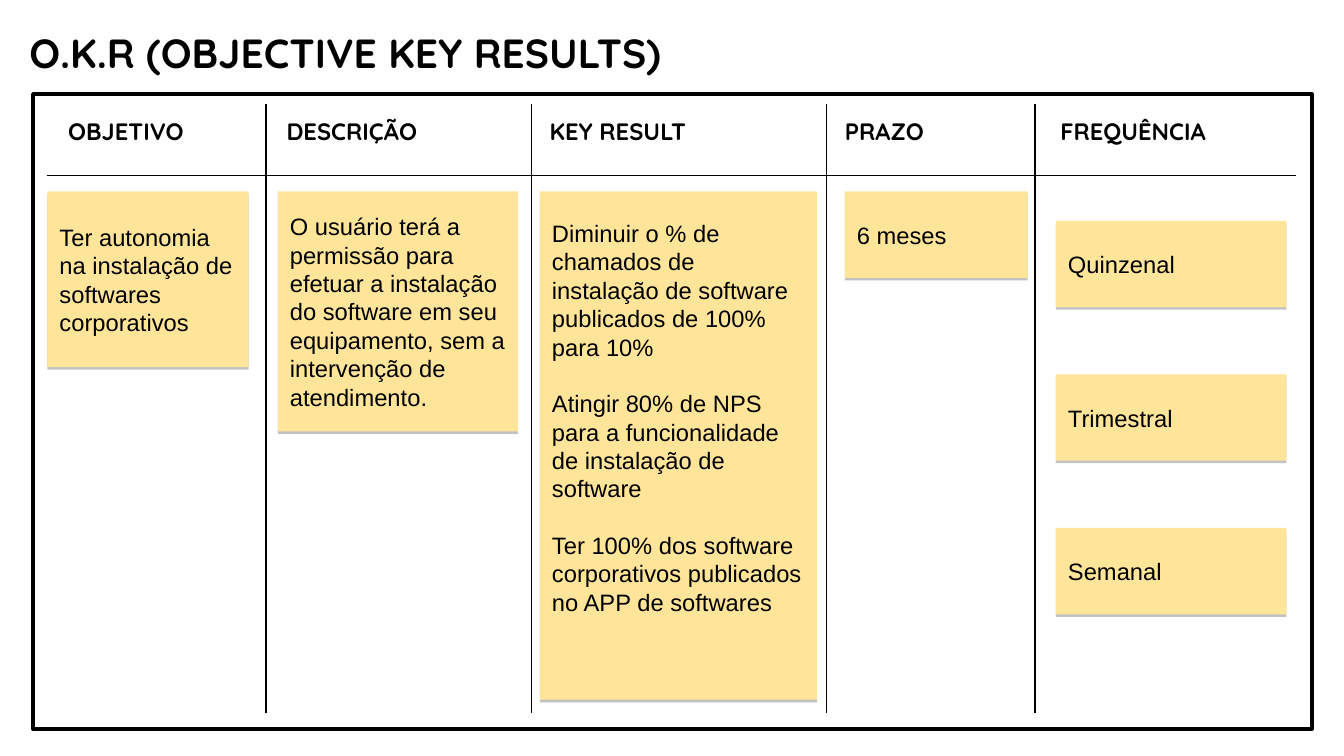
import pptx
import pptx.util
import pptx.dml.color
import pptx.enum.shapes
import pptx.enum.text
import pptx.oxml
import pptx.oxml.ns
import lxml.etree

Cm = pptx.util.Cm
Pt = pptx.util.Pt
ANCHOR = pptx.enum.text.MSO_ANCHOR
RECTANGLE = pptx.enum.shapes.MSO_SHAPE.RECTANGLE
STRAIGHT = pptx.enum.shapes.MSO_CONNECTOR.STRAIGHT

COLORS = {"ink": "000000", "note": "FFE599"}
HEADING_FONT = "Quicksand"
BODY_FONT = "Arial"

HEADINGS = [
    ("OBJETIVO", 1.17, 4.83),
    ("DESCRIÇÃO", 5.72, 5.26),
    ("KEY RESULT", 11.2, 6.73),
    ("PRAZO", 17.35, 4.04),
    ("FREQUÊNCIA", 21.84, 5.26),
]
DIVIDERS = [5.54, 11.07, 17.22, 21.56]
NOTE_TOP = 3.99
NOTES = [
    (["Ter autonomia na instalação de softwares corporativos"], 0.99, 4.19, 3.66, 0.25),
    (["O usuário terá a permissão para efetuar a instalação do software em seu "
      "equipamento, sem a intervenção de atendimento."], 5.79, 5, 5, 0.25),
    (["Diminuir o % de chamados de instalação de software publicados de 100% para 10%",
      "Atingir 80% de NPS para a funcionalidade de instalação de software",
      "Ter 100% dos software corporativos publicados no APP de softwares"],
     11.25, 5.77, 10.59, 1.43),
    (["6 meses"], 17.6, 3.81, 1.8, 0.25),
]
FREQUENCIES = ["Quinzenal", "Trimestral", "Semanal"]


def color(name):
    return pptx.dml.color.RGBColor.from_string(COLORS[name])


class Board:
    def __init__(self, deck):
        self.page = deck.slides.add_slide(deck.slide_layouts[5])

    def set_text(self, shape, texts, font, size, bold=False, inset=0.25, bottom=0.25,
                 anchor=ANCHOR.MIDDLE, line_spacing=None, gap=0):
        frame = shape.text_frame
        frame.word_wrap = True
        frame.auto_size = pptx.enum.text.MSO_AUTO_SIZE.NONE
        frame.vertical_anchor = anchor
        frame.margin_left = frame.margin_right = frame.margin_top = Cm(inset)
        frame.margin_bottom = Cm(bottom)
        for index, text in enumerate(texts):
            para = frame.add_paragraph() if index else frame.paragraphs[0]
            para.text = text
            para.alignment = pptx.enum.text.PP_ALIGN.LEFT
            para.line_spacing = line_spacing
            para.space_before = Pt(gap if index else 0)
            para.font.name = font
            para.font.size = Pt(size)
            para.font.bold = bold
            para.font.color.rgb = color("ink")

    def title(self, text, left, top, width, height):
        box = self.page.shapes.title
        box.left, box.top, box.width, box.height = map(Cm, (left, top, width, height))
        self.set_text(box, [text], HEADING_FONT, 24, bold=True, inset=0.1, bottom=0.1)

    def heading(self, text, left, top, width, height):
        box = self.page.shapes.add_textbox(*map(Cm, (left, top, width, height)))
        self.set_text(box, [text], HEADING_FONT, 14, bold=True, anchor=ANCHOR.TOP,
                      line_spacing=0.8)

    def rectangle(self, left, top, width, height):
        box = self.page.shapes.add_shape(RECTANGLE, *map(Cm, (left, top, width, height)))
        box.shadow.inherit = False
        return box

    def frame(self, left, top, width, height):
        box = self.rectangle(left, top, width, height)
        box.fill.background()
        box.line.color.rgb = color("ink")
        box.line.width = Pt(2.25)

    def line(self, left, top, right, bottom):
        line = self.page.shapes.add_connector(STRAIGHT, *map(Cm, (left, top, right, bottom)))
        line.line.color.rgb = color("ink")
        line.line.width = Pt(0.75)
        lxml.etree.SubElement(line._element.spPr, pptx.oxml.ns.qn("a:effectLst"))

    def note(self, texts, left, top, width, height, bottom=0.25):
        box = self.rectangle(left, top, width, height)
        box.fill.solid()
        box.fill.fore_color.rgb = color("note")
        box.line.fill.background()
        effects = box._element.spPr.find(pptx.oxml.ns.qn("a:effectLst"))
        effects.append(pptx.oxml.parse_xml(
            f'<a:outerShdw {pptx.oxml.ns.nsdecls("a")} blurRad="0" dist="{Pt(1.5)}" '
            f'dir="5400000" algn="t" rotWithShape="0"><a:srgbClr val="{COLORS["ink"]}">'
            '<a:alpha val="24000"/></a:srgbClr></a:outerShdw>'))
        self.set_text(box, texts, BODY_FONT, 14, bottom=bottom, gap=16.5)


def main():
    deck = pptx.Presentation()
    deck.slide_width, deck.slide_height = Cm(28), Cm(15.75)
    board = Board(deck)
    board.title("O.K.R (OBJECTIVE KEY RESULTS)", 0.51, 0.46, 23.44, 1.27)
    board.frame(0.69, 1.96, 26.64, 13.23)
    for text, left, width in HEADINGS:
        board.heading(text, left, 2.29, width, 1.78)
    for x in DIVIDERS:
        board.line(x, 2.16, x, 14.86)
    board.line(0.97, 3.66, 27, 3.66)
    for texts, left, width, height, bottom in NOTES:
        board.note(texts, left, NOTE_TOP, width, height, bottom)
    for index, text in enumerate(FREQUENCIES):
        board.note([text], 22, 4.6 + 3.2 * index, 4.8, 1.8)
    deck.save("out.pptx")


if __name__ == "__main__":
    main()
